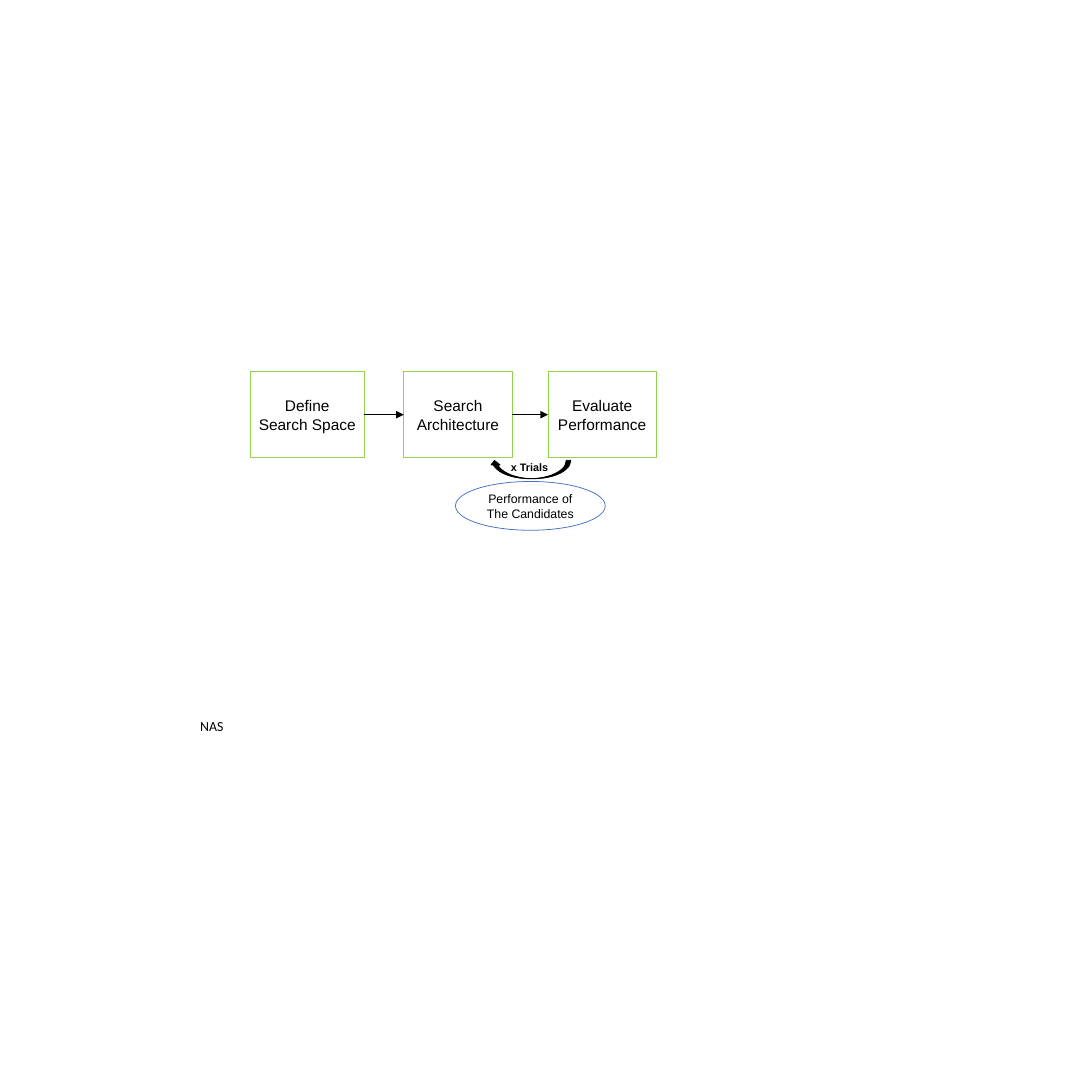
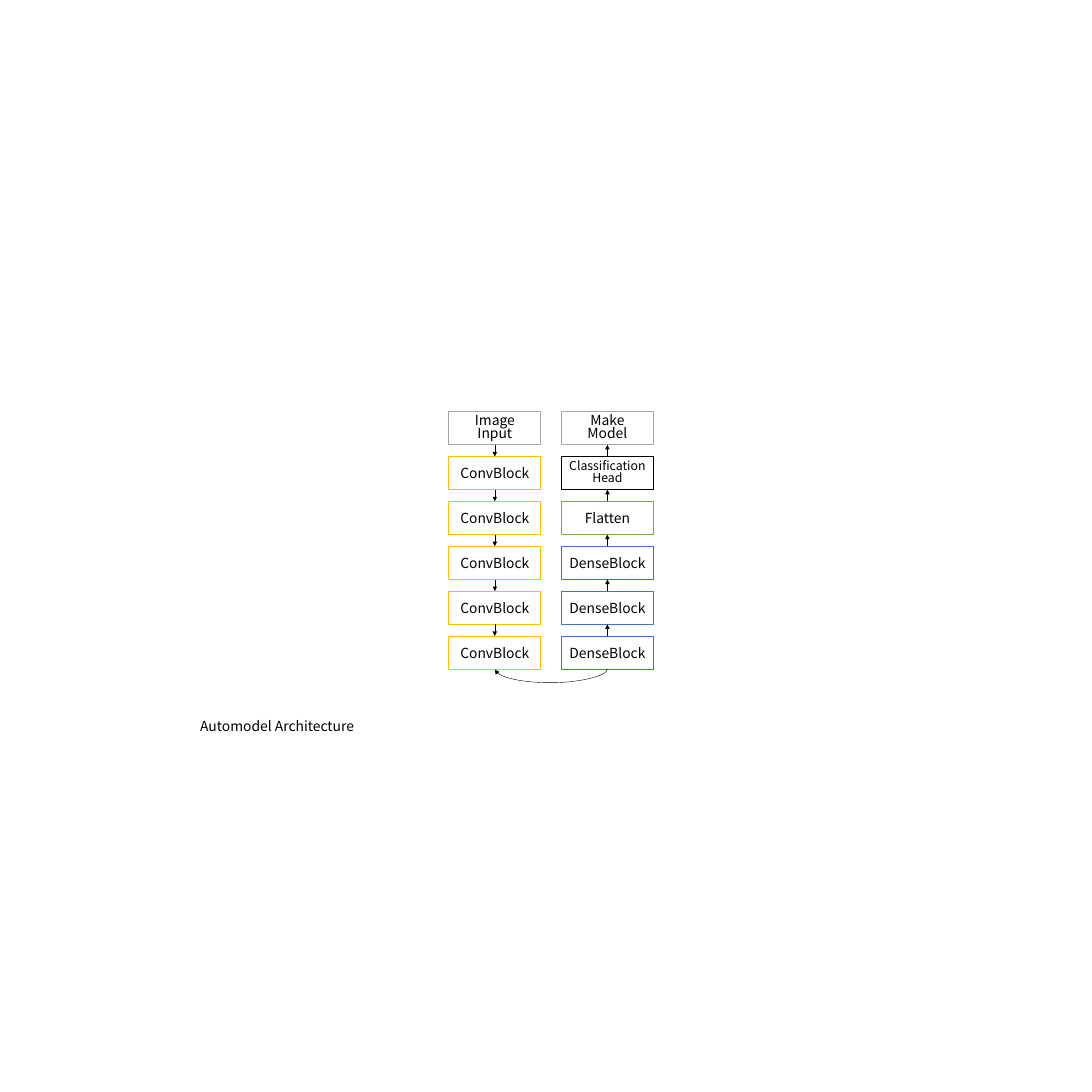
from lxml.etree import SubElement
from pptx import Presentation
from pptx.dml.color import RGBColor
from pptx.enum.shapes import MSO_CONNECTOR as Connector, MSO_SHAPE as Shape
from pptx.enum.text import MSO_ANCHOR as Anchor, PP_ALIGN as Align
from pptx.oxml.ns import qn
from pptx.util import Cm, Pt

COLORS = {
    "white": "FFFFFF", "black": "000000", "lime": "92D050", "blue": "4472C4",
    "gold": "FFC000", "green": "70AD47", "gray": "A5A5A5",
}
CELL = Cm(0.5)  # the 50 cm square slide is a grid of 100 columns and 100 rows
TOP, LEFT, BOTTOM, RIGHT = range(4)


def grid(*cells):
    return [round(cell * CELL) for cell in cells]


def color(name):
    return RGBColor.from_string(COLORS[name])


class Sketch:
    """Holds the deck, the current slide and the font of its text."""

    def __init__(self):
        self.deck = Presentation()
        self.deck.slide_width = self.deck.slide_height = 100 * CELL

    def new_slide(self, font, caption):
        self.slide = self.deck.slides.add_slide(self.deck.slide_layouts[6])
        self.font = font
        self.label(caption, (17.83, 65.48, 29.5, 3.4), 18)

    def set_text(self, frame, text, size, align, bold=False, spacing=None):
        frame.word_wrap = True
        frame.text = text
        for para in frame.paragraphs:
            para.alignment = align
            para.line_spacing = spacing
            for span in para.runs:
                span.font.name = self.font
                span.font.size = Pt(size)
                span.font.bold = bold
                span.font.color.rgb = color("black")

    def label(self, text, place, size, bold=False):
        box = self.slide.shapes.add_textbox(*grid(*place))
        self.set_text(box.text_frame, text, size, Align.LEFT, bold)

    def box(self, place, outline, text="", size=18, kind=Shape.RECTANGLE,
            fill="white", spacing=None):
        box = self.slide.shapes.add_shape(kind, *grid(*place))
        box.shadow.inherit = False
        box.fill.solid()
        box.fill.fore_color.rgb = color(fill)
        box.line.color.rgb = color(outline)
        box.line.width = Pt(1)
        if text:
            box.text_frame.vertical_anchor = Anchor.MIDDLE
            self.set_text(box.text_frame, text, size, Align.CENTER, spacing=spacing)
        return box

    def arrow(self, start, start_side, end, end_side, head="med",
              kind=Connector.STRAIGHT):
        arrow = self.slide.shapes.add_connector(kind, 0, 0, 0, 0)
        arrow.begin_connect(start, start_side)
        arrow.end_connect(end, end_side)
        arrow.line.color.rgb = color("black")
        arrow.line.width = Pt(0.5)
        properties = arrow.element.spPr
        SubElement(properties.find(qn("a:ln")), qn("a:tailEnd"),
                   type="triangle", w=head, len=head)
        SubElement(properties, qn("a:effectLst"))
        return arrow

    def loop_below(self, start, end, depth):
        """Curve from the bottom of one box to the bottom of another."""
        arrow = self.arrow(start, BOTTOM, end, BOTTOM, kind=Connector.CURVE)
        thickness = 0.05
        span = end.left - start.left
        arrow.width, arrow.height = grid(thickness)[0], span
        arrow.left = start.left + start.width // 2 + (span - arrow.width) // 2
        arrow.top = start.top + start.height - span // 2
        properties = arrow.element.spPr
        frame = properties.find(qn("a:xfrm"))
        frame.set("rot", str(270 * 60000))
        frame.set("flipH", "1")
        guides = properties.find(qn("a:prstGeom")).get_or_add_avLst()
        SubElement(guides, qn("a:gd"), name="adj1",
                   fmla=f"val {round(depth / thickness * 100000)}")


def draw_search(sketch):
    sketch.new_slide("Calibri", "NAS")
    sketch.font = "Arial"
    # Three steps from left to right
    steps = [
        sketch.box((left, 34.04, width, 7.87), "lime", text, 20)
        for left, width, text in (
            (22.91, 10.46, "Define\nSearch Space"),
            (36.98, 9.91, "Search\nArchitecture"),
            (50.19, 9.91, "Evaluate\nPerformance"),
        )
    ]
    for start, end in zip(steps, steps[1:]):
        sketch.arrow(start, RIGHT, end, LEFT, head="lg")
    # Feedback from evaluation to search
    feedback = sketch.box((44.86, 42.16, 7.42, 1.68), "black",
                          kind=Shape.CURVED_UP_ARROW, fill="black")
    feedback.element.spPr.find(qn("a:xfrm")).set("flipH", "1")
    sketch.box((41.71, 44.09, 13.72, 4.47), "blue",
               "Performance of The Candidates", 16, Shape.OVAL)
    sketch.label("x Trials", (46.28, 41.91, 4.83, 1.73), 14, bold=True)


def draw_model(sketch):
    sketch.new_slide("Noto Sans CJK KR", "Automodel Architecture")

    def stack(left, blocks):
        return [
            sketch.box((left, 37.69 + 4.11 * row, 8.43, 3.05), outline, text, size,
                       spacing=0.8 if size == 16 or "\n" in text else None)
            for row, (text, outline, size) in enumerate(blocks)
        ]

    # Layers run down the left stack and up the right one
    down = stack(41.1, [("Image\nInput", "gray", 18)]
                 + [("ConvBlock", "gold", 18)] * 5)
    up = stack(51.41, [("Make\nModel", "gray", 18),
                       ("Classification Head", "black", 16),
                       ("Flatten", "green", 18)]
               + [("DenseBlock", "blue", 18)] * 3)
    for upper, lower in zip(down, down[1:]):
        sketch.arrow(upper, BOTTOM, lower, TOP)
    for upper, lower in zip(up, up[1:]):
        sketch.arrow(lower, TOP, upper, BOTTOM)
    sketch.loop_below(down[-1], up[-1], depth=1.25)


def main():
    sketch = Sketch()
    draw_search(sketch)
    draw_model(sketch)
    sketch.deck.save("out.pptx")


if __name__ == "__main__":
    main()
